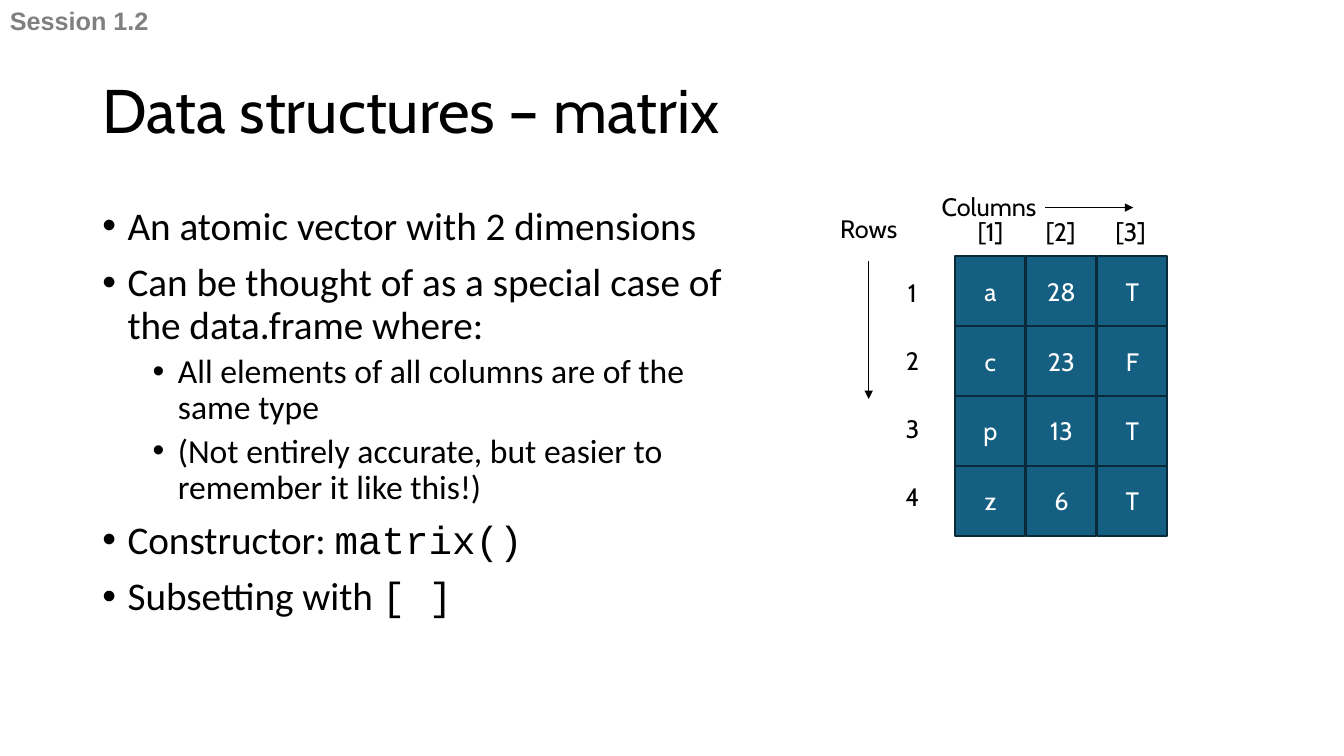
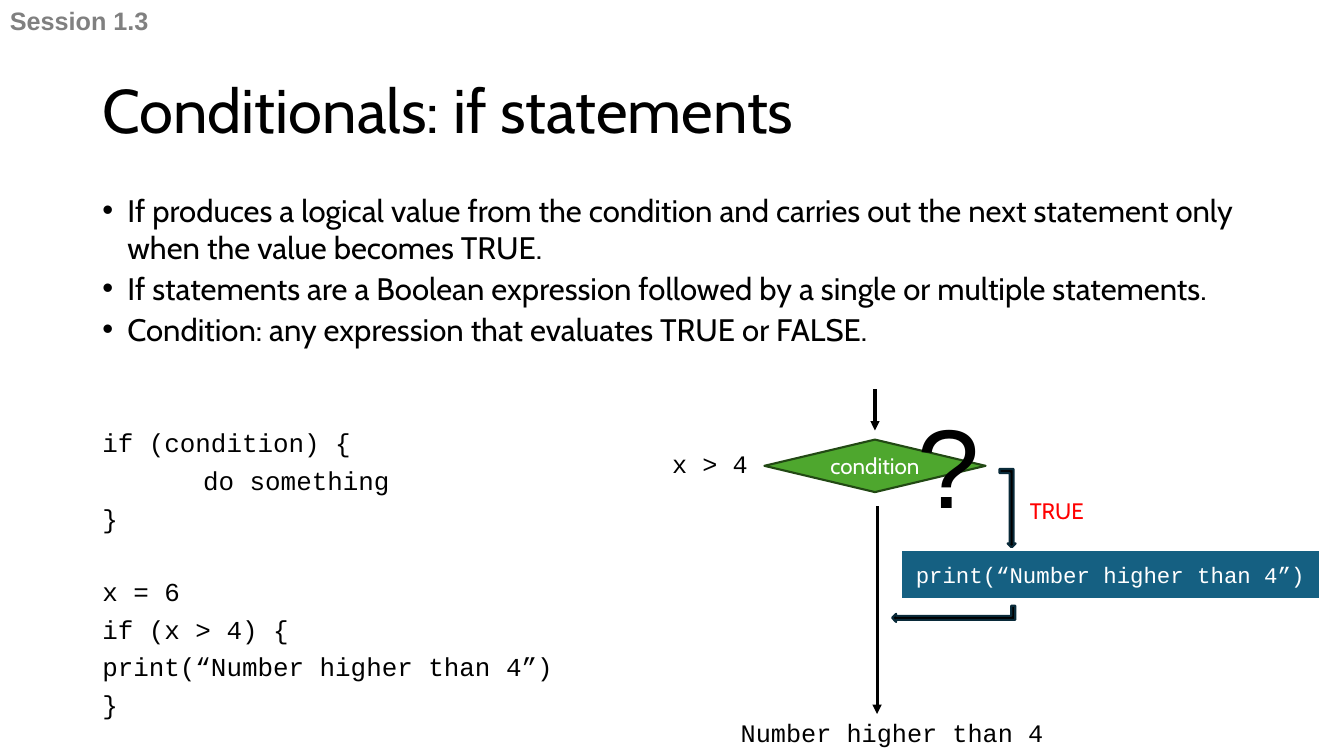
from dataclasses import dataclass

from lxml.etree import SubElement
from pptx import Presentation
from pptx.dml.color import RGBColor
from pptx.enum.shapes import MSO_CONNECTOR as Conn, MSO_SHAPE as Shape
from pptx.enum.text import MSO_ANCHOR as Anchor, PP_ALIGN as Align
from pptx.oxml.ns import qn
from pptx.util import Pt


@dataclass(frozen=True)
class Style:
    size: float
    font: str
    color: str = "000000"
    bold: bool = False


@dataclass(frozen=True)
class Theme:
    blue: str = "156082"
    blue_edge: str = "092A39"
    green: str = "4EA72E"
    green_edge: str = "224914"
    black: str = "000000"
    white: str = "FFFFFF"
    title: Style = Style(44, "Cabin")
    session: Style = Style(18, "Arial", "808080", True)
    body: Style = Style(28, "Calibri")
    sub: Style = Style(24, "Calibri")
    body_code: Style = Style(28, "Courier New")
    points: Style = Style(22.2, "Cabin")
    code: Style = Style(18.5, "Courier New")
    output: Style = Style(18, "Courier New")
    label: Style = Style(18, "Cabin")
    cell: Style = Style(18, "Cabin", "FFFFFF")
    condition: Style = Style(16, "Cabin", "FFFFFF")
    statement: Style = Style(16, "Courier New", "FFFFFF")
    true: Style = Style(16, "Cabin", "FF0000")
    question: Style = Style(80, "Arial")


T = Theme()


def rgb(color):
    return RGBColor.from_string(color)


def set_font(r, style):
    f = r.font
    f.size, f.name, f.bold = Pt(style.size), style.font, style.bold
    f.color.rgb = rgb(style.color)


def add_runs(p, runs):
    for text, style in runs:
        r = p.add_run()
        r.text = text
        set_font(r, style)


def set_indent(p, left, first=0, bullet=None):
    pPr = p._p.get_or_add_pPr()
    pPr.set("marL", str(Pt(left)))
    pPr.set("indent", str(Pt(first)))
    if bullet:
        SubElement(pPr, qn("a:buFont")).set("typeface", "Arial")
        SubElement(pPr, qn("a:buChar")).set("char", bullet)


def add_frame(slide, box):
    tf = slide.shapes.add_textbox(*map(Pt, box)).text_frame
    tf.word_wrap = True
    return tf


def add_label(slide, box, text, style, align=Align.LEFT):
    tf = add_frame(slide, box)
    p = tf.paragraphs[0]
    p.alignment = align
    add_runs(p, [(text, style)])
    return tf


def next_paragraph(tf, index, gap):
    """Return paragraph number index, with gap above all but the first."""
    if index == 0:
        return tf.paragraphs[0]
    p = tf.add_paragraph()
    p.space_before = Pt(gap)
    return p


def add_bullets(slide, box, items, gaps, spacing):
    """items holds (level, runs); gaps holds the space above for each level."""
    tf = add_frame(slide, box)
    for i, (level, runs) in enumerate(items):
        p = next_paragraph(tf, i, gaps[level])
        p.line_spacing = spacing
        set_indent(p, 18 + 36 * level, -18, "•")
        add_runs(p, runs)


def add_code(slide, box, blocks, pitch=25.6):
    """Set code blocks, one empty line apart, lines pitch points apart."""
    gap = pitch - T.code.size * 1.133
    tf = add_frame(slide, box)
    i = 0
    for block in blocks:
        for n, (indent, line) in enumerate(block):
            p = next_paragraph(tf, i, gap if n else gap + pitch)
            set_indent(p, indent)
            add_runs(p, [(line, T.code)])
            i += 1


def add_box(slide, kind, box, fill, edge, width=1.5, text=None, style=None):
    s = slide.shapes.add_shape(kind, *map(Pt, box))
    s.shadow.inherit = False
    s.fill.solid()
    s.fill.fore_color.rgb = rgb(fill)
    s.line.color.rgb = rgb(edge)
    s.line.width = Pt(width)
    if text:
        tf = s.text_frame
        tf.vertical_anchor = Anchor.MIDDLE
        p = tf.paragraphs[0]
        p.alignment = Align.CENTER
        add_runs(p, [(text, style)])
    return s


def add_bent_arrow(slide, box, rotation):
    s = add_box(slide, Shape.BENT_UP_ARROW, box, T.black, T.blue_edge)
    s.rotation = rotation
    s.element.spPr.get_or_add_xfrm().set("flipH", "1")


def add_arrow(slide, x1, y1, x2, y2, width):
    c = slide.shapes.add_connector(Conn.STRAIGHT, *map(Pt, (x1, y1, x2, y2)))
    c.line.color.rgb = rgb(T.black)
    c.line.width = Pt(width)
    SubElement(c.line._get_or_add_ln(), qn("a:tailEnd")).set("type", "triangle")
    SubElement(c.element.spPr, qn("a:effectLst"))


def add_base(prs, title, session):
    slide = prs.slides.add_slide(prs.slide_layouts[6])
    tf = add_label(slide, (66, 29, 828, 104), title, T.title)
    tf.vertical_anchor = Anchor.MIDDLE
    tf.paragraphs[0].line_spacing = 0.9
    add_label(slide, (0, 0, 156, 29), session, T.session)
    return slide


def add_matrix(slide, left, top, rows):
    """Draw the cells from (left, top), with indexes and axis arrows outside."""
    side, pitch_x, pitch_y = 50, 50.7, 49.9
    for i, row in enumerate(rows):
        add_label(slide, (left - 44.5, top + 11.5 + 48.5 * i, 27.5, 29),
                  str(i + 1), T.label, Align.CENTER)
        for j, value in enumerate(row):
            add_box(slide, Shape.RECTANGLE,
                    (left + j * pitch_x, top + i * pitch_y, side, side),
                    T.blue, T.blue_edge, text=value, style=T.cell)
    for j in range(len(rows[0])):
        add_label(slide, (left + 0.5 + j * 50, top - 32, 49, 29),
                  f"[{j + 1}]", T.label, Align.CENTER)
    for text, dx, dy in (("Columns", -24, -50), ("Rows", -110, -34)):
        add_label(slide, (left + dx, top + dy, 96, 29), text, T.label, Align.CENTER)
    add_arrow(slide, left - 62, top + 3.5, left - 62, top + 102, 1)
    add_arrow(slide, left + 64, top - 34.7, left + 127, top - 34.7, 1)


def add_flow(slide, left, top):
    """Draw the if flow: entry, condition, TRUE branch and result."""
    axis = left + 152
    add_arrow(slide, axis, top, axis, top + 29.5, 2.25)
    add_box(slide, Shape.DIAMOND, (axis - 79, top + 36, 158, 37.5),
            T.green, T.green_edge, text="condition", style=T.condition)
    add_bent_arrow(slide, (left + 241, top + 57, 11.5, 56), 180)
    add_arrow(slide, axis + 1.5, top + 83.5, axis + 1.5, top + 232, 2.25)
    add_bent_arrow(slide, (left + 202.5, top + 116.5, 11.5, 88), 270)
    for text, style, dx, dy, width, height in (
            ("TRUE", T.true, 255.5, 73.5, 65, 27),
            ("?", T.question, 175.5, 1.5, 65, 104),
            ("x > 4", T.output, 0, 39, 78, 29),
            ("Number higher than 4", T.output, 49, 230.5, 245, 29)):
        add_label(slide, (left + dx, top + dy, width, height), text, style)
    add_box(slide, Shape.RECTANGLE, (left + 170, top + 114.5, 300, 35.5),
            T.blue, T.white, 2, "print(“Number higher than 4”)", T.statement)


def build_matrix_slide(prs):
    slide = add_base(prs, "Data structures – matrix", "Session 1.2")
    add_bullets(slide, (66, 144, 467, 343), [
        (0, [("An atomic vector with 2 dimensions", T.body)]),
        (0, [("Can be thought of as a special case of the data.frame where:", T.body)]),
        (1, [("All elements of all columns are of the same type", T.sub)]),
        (1, [("(Not entirely accurate, but easier to remember it like this!)", T.sub)]),
        (0, [("Constructor: ", T.body), ("matrix()", T.body_code)]),
        (0, [("Subsetting with ", T.body), ("[ ]", T.body_code)]),
    ], gaps=(10, 5), spacing=0.9)
    add_matrix(slide, 682.5, 183, [
        ("a", "28", "T"), ("c", "23", "F"), ("p", "13", "T"), ("z", "6", "T")])


def build_conditionals_slide(prs):
    slide = add_base(prs, "Conditionals: if statements", "Session 1.3")
    points = (
        "If produces a logical value from the condition and carries out the next "
        "statement only when the value becomes TRUE.",
        "If statements are a Boolean expression followed by a single or multiple "
        "statements.",
        "Condition: any expression that evaluates TRUE or FALSE.",
    )
    add_bullets(slide, (66, 133, 872, 120),
                [(0, [(text, T.points)]) for text in points], gaps=(2.5,), spacing=1.0)
    add_code(slide, (66, 301.5, 400, 215), [
        [(0, "if (condition) {"), (72, "do something"), (0, "}")],
        [(0, "x = 6"), (0, "if (x > 4) {"),
         (0, "print(“Number higher than 4”)"), (0, "}")],
    ])
    add_flow(slide, 473, 278)


def main():
    prs = Presentation()
    prs.slide_width, prs.slide_height = Pt(960), Pt(540)
    build_matrix_slide(prs)
    build_conditionals_slide(prs)
    prs.save("out.pptx")


if __name__ == "__main__":
    main()
